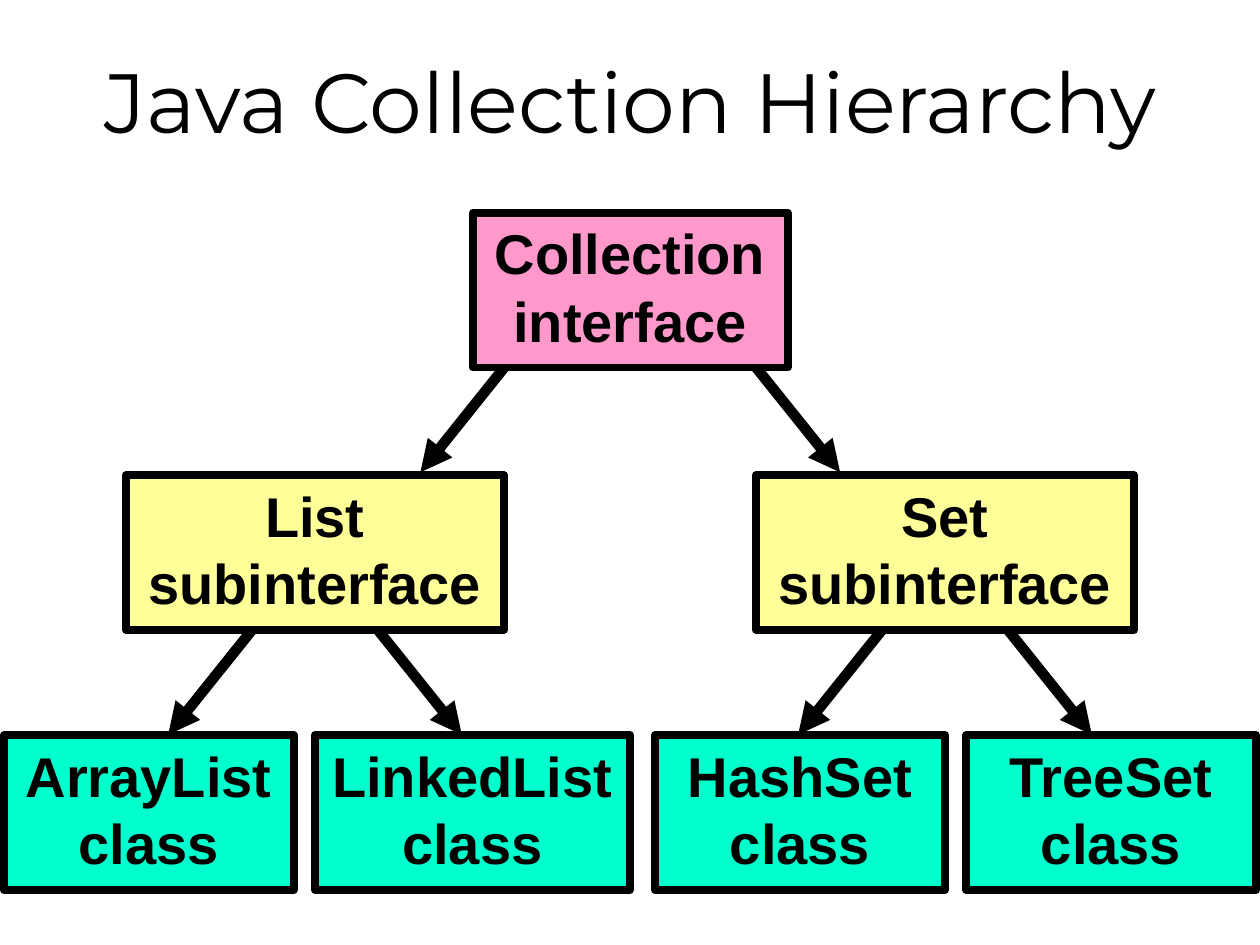
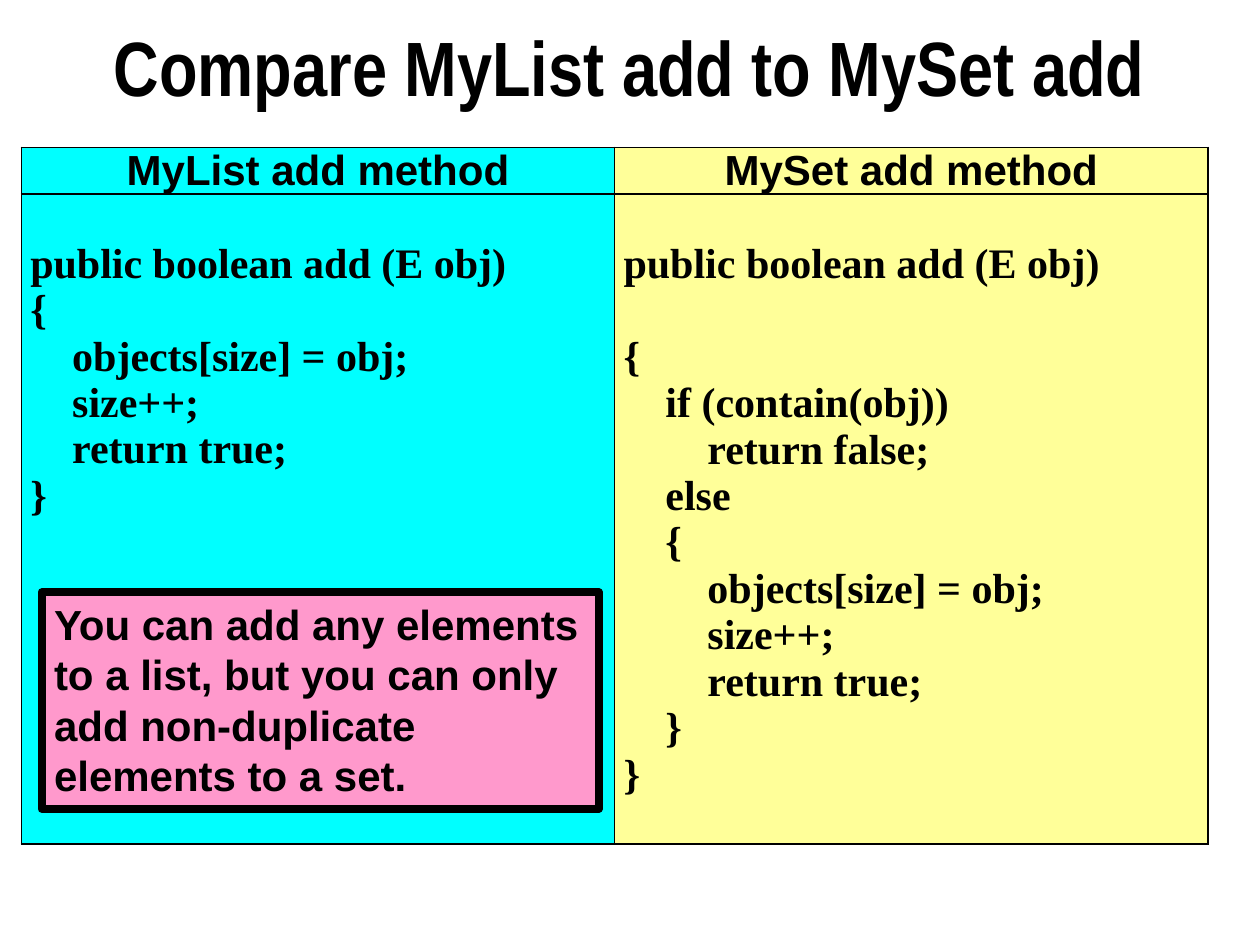
from lxml.etree import SubElement
from pptx import Presentation
from pptx.dml.color import RGBColor as Rgb
from pptx.enum.shapes import MSO_CONNECTOR as Link, MSO_SHAPE as Kind
from pptx.enum.text import MSO_ANCHOR as Anchor, MSO_AUTO_SIZE as Fit, PP_ALIGN as Align
from pptx.oxml import parse_xml
from pptx.oxml.ns import nsdecls, qn
from pptx.util import Cm, Pt

HUES = {"ink": "000000", "pink": "FF99CC", "yellow": "FFFF99",
        "green": "00FFCC", "cyan": "00FFFF"}
BOX_H = 3.12
DROP, SHIFT = 2.11, 1.69
HEAD_H, BODY_H = 0.94, 13.1
LINE = 26.6

LIST_CODE = """public boolean add (E obj)
{
    objects[size] = obj;
    size++;
    return true;
}"""
SET_CODE = """public boolean add (E obj)
{
    if (contain(obj))
        return false;
    else
    {
        objects[size] = obj;
        size++;
        return true;
    }
}"""


def hue(name):
    return Rgb.from_string(HUES[name])


def add_lines(frame, lines, size, face="Arial", align=Align.LEFT, bold=True):
    """Write one paragraph per line and return the paragraphs."""
    for i, line in enumerate(lines):
        para = frame.paragraphs[0] if i == 0 else frame.add_paragraph()
        para.alignment = align
        run = para.add_run()
        run.text = line
        font = run.font
        font.name, font.size, font.bold = face, Pt(size), bold
        font.color.rgb = hue("ink")
    return frame.paragraphs


def add_page(deck, title, area, size, face, bold):
    page = deck.slides.add_slide(deck.slide_layouts[5])
    head = page.shapes.title
    head.left, head.top, head.width, head.height = map(Cm, area)
    frame = head.text_frame
    frame.auto_size = Fit.NONE
    frame.vertical_anchor = Anchor.MIDDLE
    add_lines(frame, [title], size, face, Align.CENTER, bold)
    return page


def add_box(page, area, fill, lines, size, align):
    box = page.shapes.add_shape(Kind.RECTANGLE, *map(Cm, area))
    box.shadow.inherit = False
    box.fill.solid()
    box.fill.fore_color.rgb = hue(fill)
    box.line.color.rgb = hue("ink")
    box.line.width = Pt(4.5)
    frame = box.text_frame
    frame.word_wrap = True
    frame.vertical_anchor = Anchor.TOP
    add_lines(frame, lines, size, align=align)
    return box


def add_arrow(page, x, y, side):
    """Draw an arrow down from x, y; side is -1 for left and 1 for right."""
    ends = x, y, x + side * SHIFT, y + DROP
    arrow = page.shapes.add_connector(Link.STRAIGHT, *map(Cm, ends))
    arrow.line.color.rgb = hue("ink")
    arrow.line.width = Pt(6)
    props = arrow.line._get_or_add_ln()
    SubElement(props, qn("a:tailEnd"), type="triangle")
    SubElement(arrow._element.spPr, qn("a:effectLst"))


def add_node(page, x, y, width, fill, name, role, reach=0):
    """Draw a box and, where reach is set, two arrows that far off its centre."""
    add_box(page, (x, y, width, BOX_H), fill, [name, role], 32, Align.CENTER)
    if reach:
        for side in (-1, 1):
            add_arrow(page, x + width / 2 + side * reach, y + BOX_H, side)


def style_cell(cell, fill, top=0):
    cell.fill.solid()
    cell.fill.fore_color.rgb = hue(fill)
    cell.margin_left = cell.margin_right = Cm(0.18)
    cell.margin_top, cell.margin_bottom = Cm(top), 0
    props = cell._tc.get_or_add_tcPr()
    for i, edge in enumerate("LRTB"):
        props.insert(i, parse_xml(
            f'<a:ln{edge} {nsdecls("a")} w="{Pt(1)}"><a:solidFill>'
            f'<a:srgbClr val="{HUES["ink"]}"/></a:solidFill></a:ln{edge}>'))


def add_code(page):
    """Draw the table that sets the two methods side by side."""
    grid = page.shapes.add_table(2, 2, Cm(0.43), Cm(2.97), Cm(23.92),
                                 Cm(HEAD_H + BODY_H)).table
    for row, height in zip(grid.rows, (HEAD_H, BODY_H)):
        row.height = Cm(height)
    columns = [("MyList add method", LIST_CODE, "cyan", 0),
               ("MySet add method", SET_CODE, "yellow", LINE)]
    for col, (name, code, fill, gap) in enumerate(columns):
        head, body = grid.cell(0, col), grid.cell(1, col)
        style_cell(head, fill)
        add_lines(head.text_frame, [name], 24, align=Align.CENTER)
        style_cell(body, fill, HEAD_H)
        paras = add_lines(body.text_frame, code.split("\n"), 24, "Times New Roman")
        paras[1].space_before = Pt(gap)


def draw_tree(deck):
    page = add_page(deck, "Java Collection Hierarchy", (0.43, 0.64, 24.56, 2.74),
                    48, "Montserrat", False)
    add_node(page, 9.53, 4.29, 6.35, "pink", "Collection", "interface", 2.54)
    for x, name in ((2.54, "List"), (15.24, "Set")):
        add_node(page, x, 9.58, 7.62, "yellow", name, "subinterface", 1.27)
    for x, width, name in ((0.08, 5.84, "ArrayList"), (6.35, 6.35, "LinkedList"),
                           (13.21, 5.84, "HashSet"), (19.48, 5.84, "TreeSet")):
        add_node(page, x, 14.82, width, "green", name, "class")


def draw_compare(deck):
    page = add_page(deck, "Compare MyList add to MySet add", (0, 0, 25.4, 2.64),
                    44, "Arial Narrow", True)
    add_code(page)
    note = ("You can add any elements to a list, but you can only "
            "add non-duplicate elements to a set.")
    box = add_box(page, (0.84, 11.94, 11.23, 4.37), "pink", [note], 24, Align.LEFT)
    box.text_frame.auto_size = Fit.SHAPE_TO_FIT_TEXT


def main():
    deck = Presentation()
    deck.slide_width, deck.slide_height = Cm(25.4), Cm(19.05)
    draw_tree(deck)
    draw_compare(deck)
    deck.save("out.pptx")


if __name__ == "__main__":
    main()
